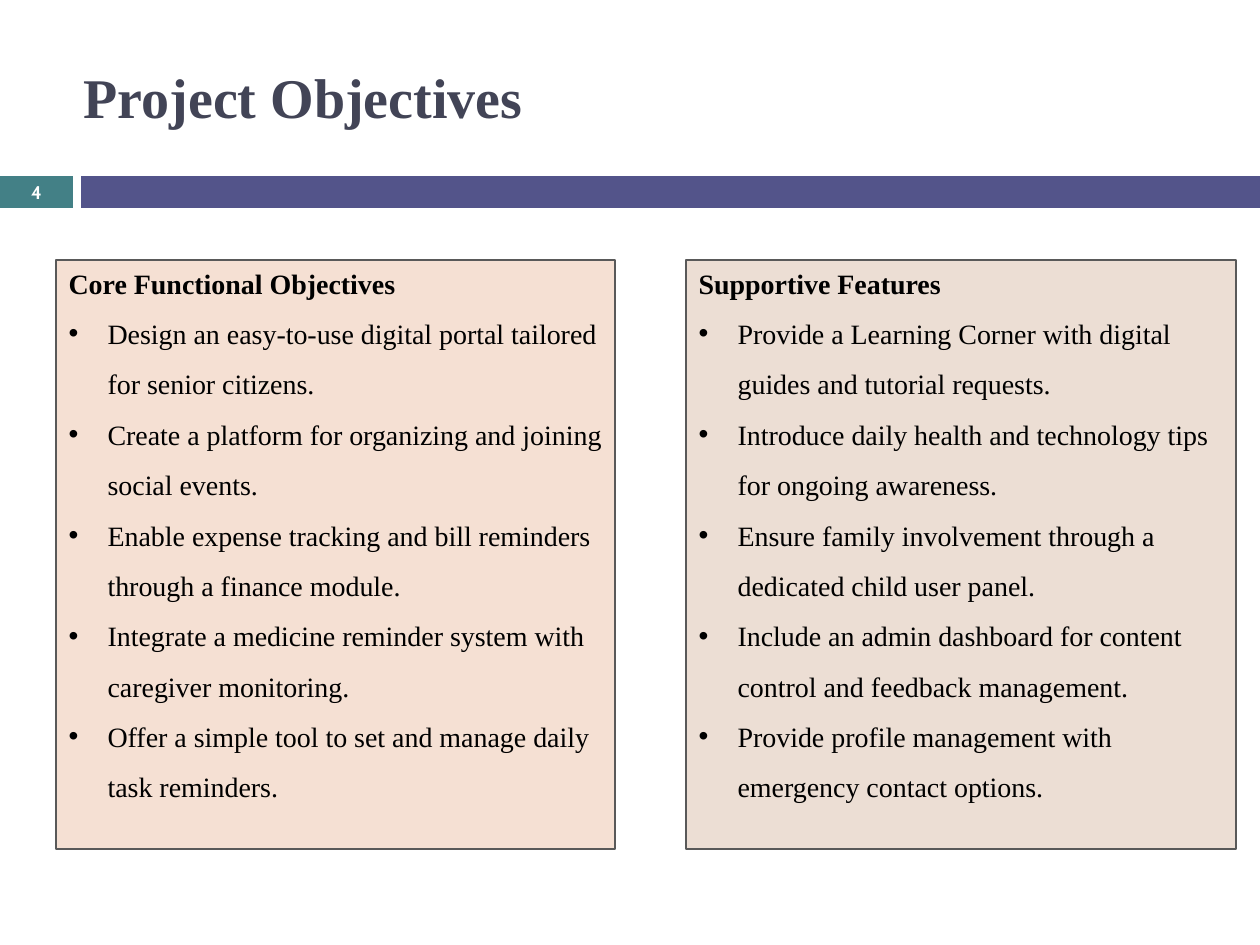
from dataclasses import dataclass

from lxml import etree
from pptx import Presentation
from pptx import util as u
from pptx.dml.color import RGBColor
from pptx.enum import shapes, text
from pptx.oxml.ns import qn

PX_PER_INCH = 126
SERIF = "Times New Roman"
BLACK = RGBColor(0x00, 0x00, 0x00)
WHITE = RGBColor(0xFF, 0xFF, 0xFF)
SLATE = RGBColor(0x42, 0x44, 0x56)
TEAL = RGBColor(0x43, 0x80, 0x86)
INDIGO = RGBColor(0x53, 0x54, 0x8A)
PEACH = RGBColor(0xF5, 0xE0, 0xD3)
SAND = RGBColor(0xEC, 0xDE, 0xD4)
GREY = RGBColor(0x59, 0x59, 0x59)


@dataclass
class Panel:
    left: int
    width: int
    fill: RGBColor
    heading: str
    bullets: list[str]


PANELS = [
    Panel(56, 559, PEACH, "Core Functional Objectives", [
        "Design an easy-to-use digital portal tailored for senior citizens.",
        "Create a platform for organizing and joining social events.",
        "Enable expense tracking and bill reminders through a finance module.",
        "Integrate a medicine reminder system with caregiver monitoring.",
        "Offer a simple tool to set and manage daily task reminders.",
    ]),
    Panel(686, 550, SAND, "Supportive Features", [
        "Provide a Learning Corner with digital guides and tutorial requests.",
        "Introduce daily health and technology tips for ongoing awareness.",
        "Ensure family involvement through a dedicated child user panel.",
        "Include an admin dashboard for content control and feedback management.",
        "Provide profile management with emergency contact options.",
    ]),
]


def px(n: int) -> u.Emu:
    return u.Emu(round(n * u.Inches(1) / PX_PER_INCH))


def place(sp, left: int, top: int, width: int, height: int) -> None:
    sp.left, sp.top, sp.width, sp.height = map(px, (left, top, width, height))


def write(p, words: str, color: RGBColor, **formats) -> None:
    r = p.add_run()
    r.text = words
    r.font.color.rgb = color
    for name, value in formats.items():
        setattr(r.font, name, value)


def set_bullet(p, char: str = "", indent: int = 0) -> None:
    """Give the paragraph a hanging bullet, or none when char is empty."""
    pPr = p._p.get_or_add_pPr()
    pPr.set("marL", str(px(indent)))
    pPr.set("indent", str(-px(indent)))
    if char:
        etree.SubElement(pPr, qn("a:buFont"), typeface="Arial")
        etree.SubElement(pPr, qn("a:buChar"), char=char)
    else:
        etree.SubElement(pPr, qn("a:buNone"))


def add_bar(s, left: int, width: int, color: RGBColor):
    sp = s.shapes.add_shape(shapes.MSO_SHAPE.RECTANGLE, px(left), px(176), px(width), px(32))
    sp.shadow.inherit = False
    sp.fill.solid()
    sp.fill.fore_color.rgb = color
    sp.line.fill.background()
    return sp


def fill_panel(sp, panel: Panel) -> None:
    place(sp, panel.left, 260, panel.width, 589)
    sp.fill.solid()
    sp.fill.fore_color.rgb = panel.fill
    sp.line.color.rgb = GREY
    sp.line.width = u.Pt(0.75)
    tf = sp.text_frame
    tf.auto_size = text.MSO_AUTO_SIZE.NONE
    for i, words in enumerate([panel.heading, *panel.bullets]):
        is_heading = i == 0
        p = tf.paragraphs[0] if is_heading else tf.add_paragraph()
        if is_heading:
            set_bullet(p)
        else:
            set_bullet(p, "•", 39)
            p.line_spacing = 1.5
        p.space_before = u.Pt(0)
        write(p, words, BLACK, name=SERIF, size=u.Pt(16), bold=is_heading)


def main() -> None:
    prs = Presentation()
    prs.slide_width, prs.slide_height = u.Inches(10), u.Inches(7.5)
    s = prs.slides.add_slide(prs.slide_layouts.get_by_name("Two Content"))

    title, *bodies = s.placeholders
    place(title, 71, 47, 1124, 98)
    tf = title.text_frame
    tf.auto_size = text.MSO_AUTO_SIZE.NONE
    tf.vertical_anchor = text.MSO_ANCHOR.MIDDLE
    p = tf.paragraphs[0]
    p.alignment = text.PP_ALIGN.LEFT
    write(p, "Project Objectives", SLATE, name=SERIF, size=u.Pt(32), bold=True)

    add_bar(s, 81, 1179, INDIGO)
    tf = add_bar(s, 0, 73, TEAL).text_frame
    tf.margin_top = tf.margin_bottom = 0
    tf.vertical_anchor = text.MSO_ANCHOR.MIDDLE
    p = tf.paragraphs[0]
    p.alignment = text.PP_ALIGN.CENTER
    write(p, "4", WHITE, name="Cabin", size=u.Pt(10.5), bold=True)

    for sp, panel in zip(bodies, PANELS):
        fill_panel(sp, panel)

    prs.save("out.pptx")


if __name__ == "__main__":
    main()
